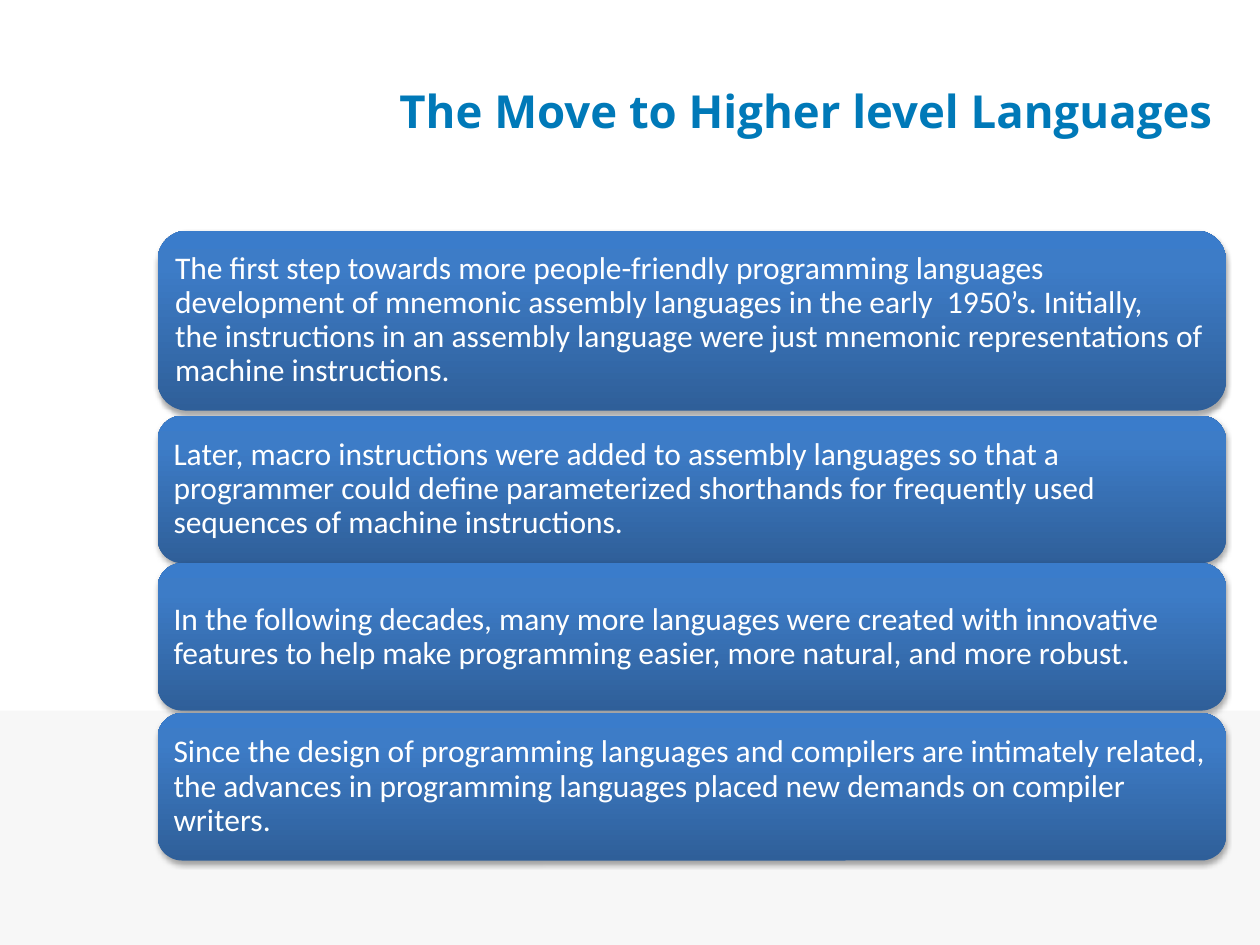
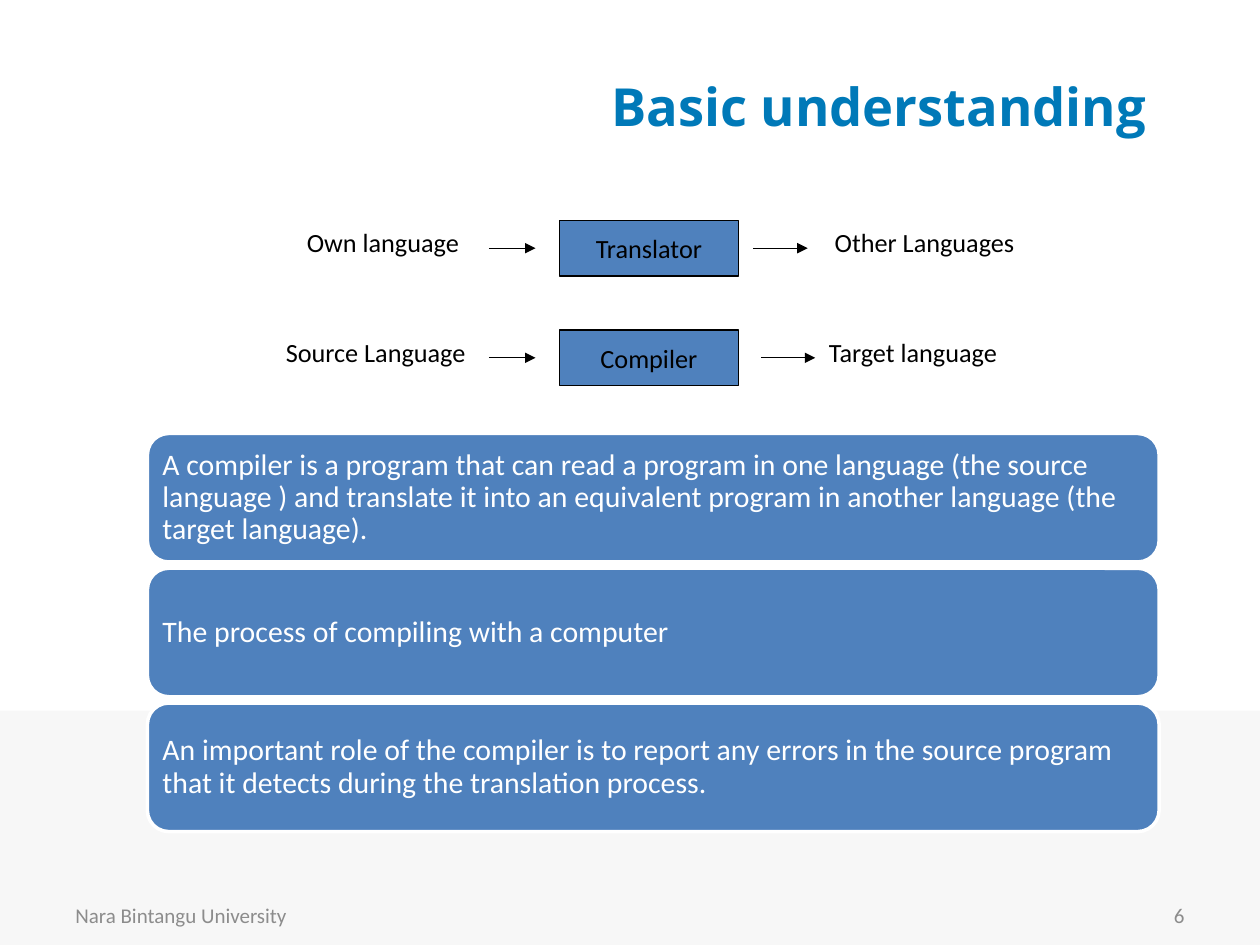
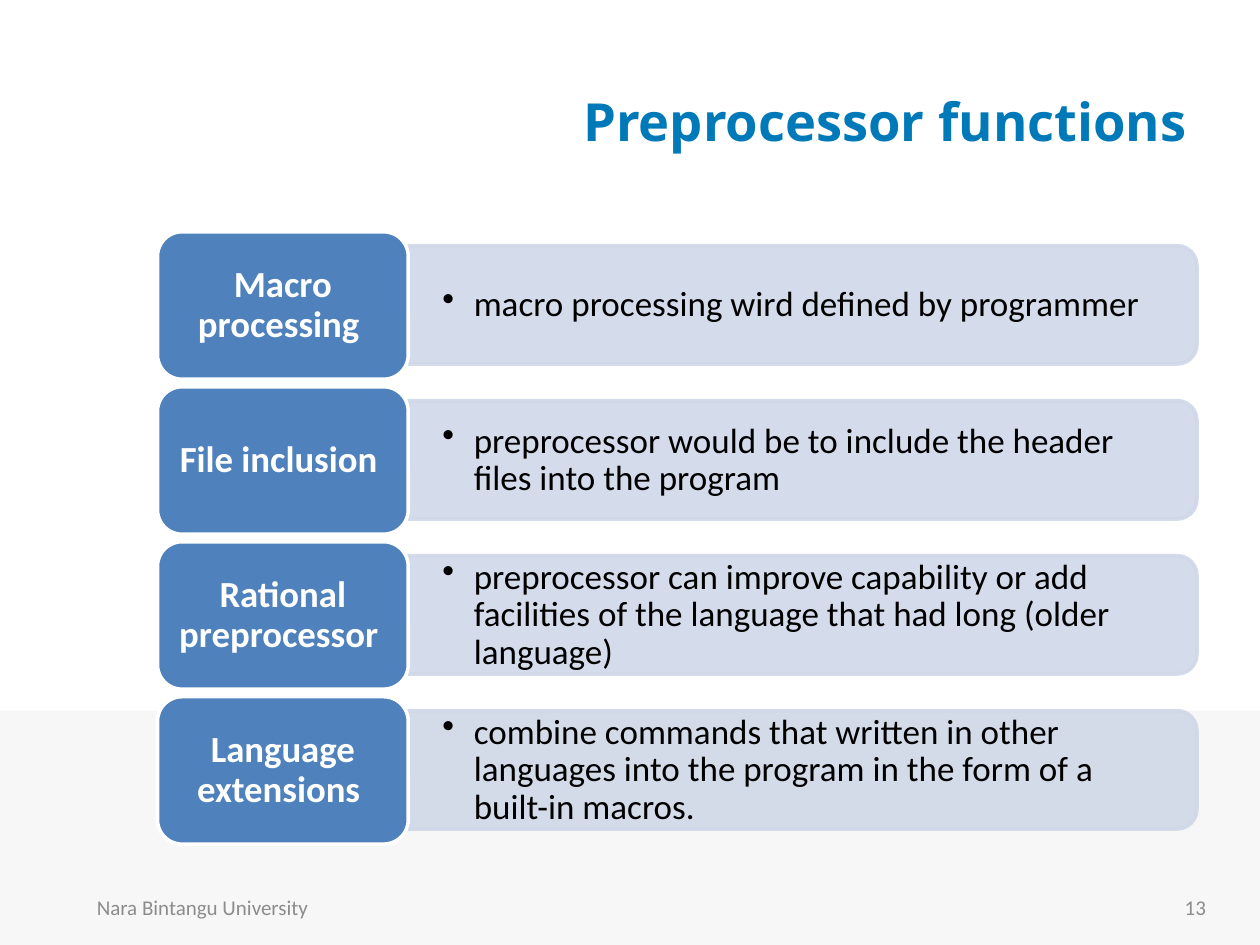
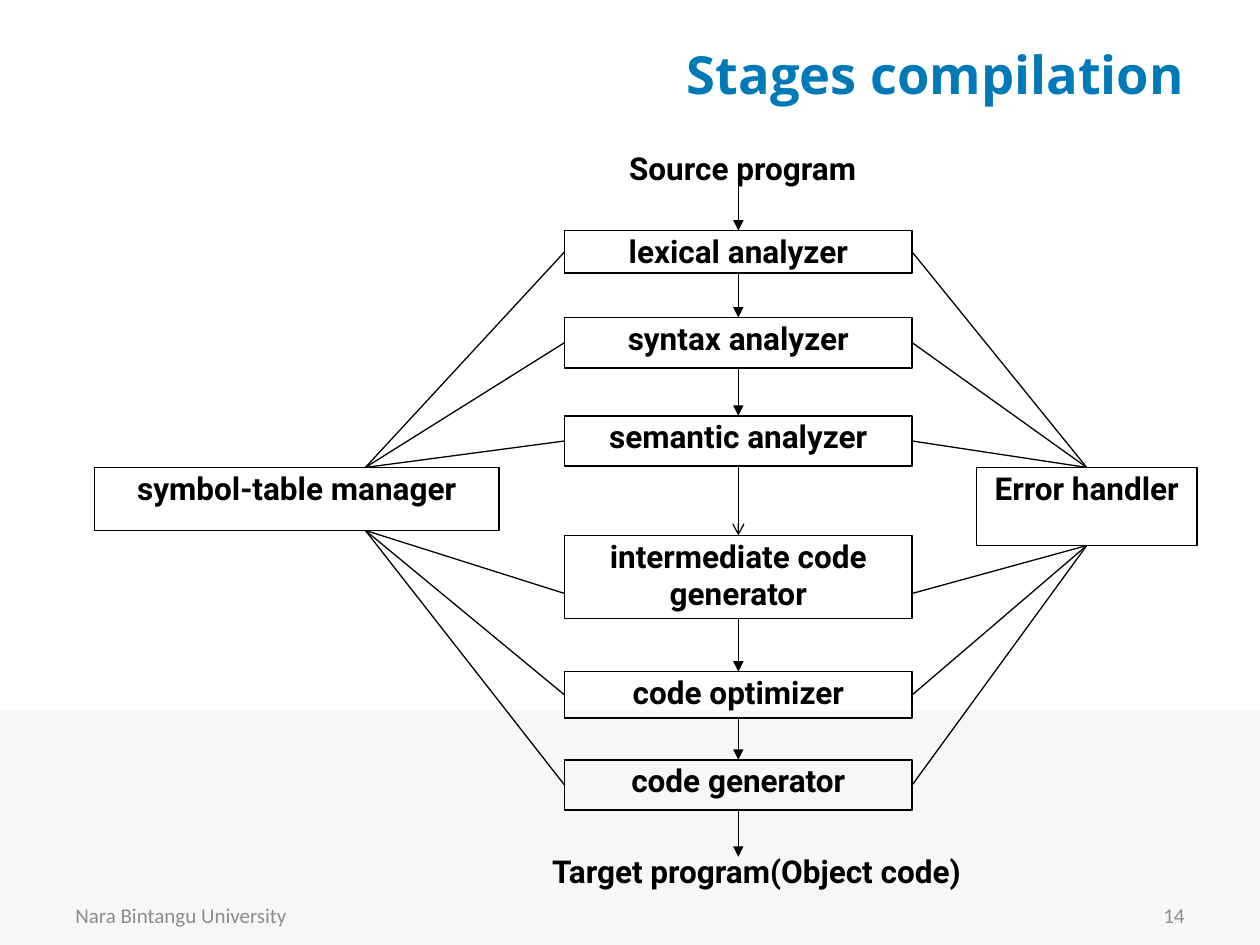
"""Build four slides on programming languages and the stages of a compiler."""

from dataclasses import dataclass
from typing import Optional

from lxml.etree import SubElement
from pptx import Presentation
from pptx.dml.color import RGBColor
from pptx.enum.shapes import MSO_CONNECTOR, MSO_SHAPE
from pptx.enum.text import MSO_ANCHOR, MSO_AUTO_SIZE, PP_ALIGN
from pptx.oxml.ns import qn
from pptx.util import Inches, Pt

TOP, LEFT, BOTTOM, RIGHT = range(4)


@dataclass(frozen=True)
class Theme:
    """Colours, fonts and type sizes of the whole deck."""

    title: str = "0079B8"
    band: str = "F7F7F7"
    block: str = "4F81BD"
    pale: str = "D0D8E8"
    white: str = "FFFFFF"
    black: str = "000000"
    footer: str = "8C8C8C"
    gradient: tuple = ((0, "2F5F99"), (80, "3D7CC7"), (100, "3A7CCB"))
    title_font: str = "Open Sans"
    body_font: str = "Calibri"
    diagram_font: str = "Roboto"
    title_size: int = 30
    long_title_size: int = 26
    topic_size: int = 21
    detail_size: int = 20
    step_size: int = 18
    fact_size: int = 17
    label_size: int = 15
    footer_size: int = 12


THEME = Theme()


@dataclass(frozen=True)
class Box:
    """A rectangle in inches."""

    left: float
    top: float
    width: float
    height: float

    def lengths(self) -> tuple:
        """Give the four measures as lengths."""
        return tuple(map(Inches, (self.left, self.top, self.width, self.height)))


@dataclass(frozen=True)
class Step:
    """One step in the history of languages."""

    top: float
    height: float
    text: str


@dataclass(frozen=True)
class Translation:
    """A row that turns an input into an output with a tool."""

    tool: str
    top: float
    source: str
    source_left: float
    source_width: float
    target: str
    target_width: float
    out_arrow: float


@dataclass(frozen=True)
class Function:
    """A preprocessor function and what it does."""

    topic: str
    detail: str


@dataclass(frozen=True)
class Stage:
    """A stage of compilation."""

    text: str
    top: float
    height: float
    link_y: Optional[float] = None
    arrowhead: str = "triangle"


STEPS = (
    Step(1.83, 1.43, "The first step towards more people-friendly programming languages "
         "development of mnemonic assembly languages in the early  1950’s. Initially,\n"
         "the instructions in an assembly language were just mnemonic representations "
         "of machine instructions."),
    Step(3.3, 1.17, "Later, macro instructions were added to assembly languages so that a "
         "programmer could define parameterized shorthands for frequently used "
         "sequences of machine instructions."),
    Step(4.47, 1.17, "In the following decades, many more languages were created with "
         "innovative features to help make programming easier, more natural, and more robust."),
    Step(5.66, 1.17, "Since the design of programming languages and compilers are intimately "
         "related, the advances in programming languages placed new demands on compiler writers."),
)

FACTS = (
    "A compiler is a program that can read a program in one language (the source language ) "
    "and translate it into an equivalent program in another language (the target language).",
    "The process of compiling with a computer",
    "An important role of the compiler is to report any errors in the source program "
    "that it detects during the translation process.",
)

TRANSLATIONS = (
    Translation("Translator", 1.75, " Own language", 2.29, 1.47, " Other Languages", 1.83, 5.98),
    Translation("Compiler", 2.62, "Source Language", 2.17, 1.64, "Target language", 2, 6.04),
)

FUNCTIONS = (
    Function("Macro processing ", "macro processing wird defined by programmer"),
    Function("File inclusion ",
             "preprocessor would be to include the header files into the program"),
    Function("Rational preprocessor ", "preprocessor can improve capability or add facilities "
             "of the language that had long (older language)"),
    Function("Language extensions ", "combine commands that written in other languages "
             "into the program in the form of a built-in macros."),
)

STAGES = (
    Stage("lexical analyzer", 1.83, 0.34),
    Stage("syntax analyzer", 2.52, 0.4),
    Stage("semantic analyzer", 3.3, 0.4),
    Stage("intermediate code generator", 4.25, 0.66, link_y=4.71, arrowhead="arrow"),
    Stage("code optimizer", 5.33, 0.37),
    Stage("code generator", 6.03, 0.4),
)


def write(holder, text: str, *, size: int, color: str, font: str = THEME.body_font,
          bold: bool = False, align=PP_ALIGN.LEFT, anchor=MSO_ANCHOR.MIDDLE,
          inset: tuple = (0.1, 0.05), wrap: bool = True, grow: bool = False,
          spacing: float = 1.0, bullet: bool = False) -> None:
    """Put formatted text into a shape."""
    frame = holder.text_frame
    frame.word_wrap = wrap
    frame.auto_size = MSO_AUTO_SIZE.SHAPE_TO_FIT_TEXT if grow else MSO_AUTO_SIZE.NONE
    frame.vertical_anchor = anchor
    frame.margin_left = frame.margin_right = Inches(inset[0])
    frame.margin_top = frame.margin_bottom = Inches(inset[1])
    paragraph = frame.paragraphs[0]
    paragraph.text = text
    paragraph.alignment = align
    paragraph.line_spacing = spacing
    if bullet:
        properties = paragraph.alignment and paragraph.runs[0].font and \
            paragraph._p.get_or_add_pPr()
        properties.set("marL", str(Inches(0.25)))
        properties.set("indent", str(-Inches(0.25)))
        SubElement(properties, qn("a:buChar"), char="•")
    for run in paragraph.runs:
        run.font.size = Pt(size)
        run.font.name = font
        run.font.bold = bold
        run.font.color.rgb = RGBColor.from_string(color)


def add_label(slide, box: Box, text: str, **style):
    """Add a text box."""
    label = slide.shapes.add_textbox(*box.lengths())
    write(label, text, **style)
    return label


def add_block(slide, box: Box, *, kind=MSO_SHAPE.ROUNDED_RECTANGLE,
              fill: Optional[str] = None, line: Optional[str] = None, weight: float = 2):
    """Add a preset shape without shadow."""
    block = slide.shapes.add_shape(kind, *box.lengths())
    block.shadow.inherit = False
    if fill:
        block.fill.solid()
        block.fill.fore_color.rgb = RGBColor.from_string(fill)
    else:
        block.fill.background()
    if line:
        block.line.color.rgb = RGBColor.from_string(line)
        block.line.width = Pt(weight)
    else:
        block.line.fill.background()
    return block


def add_line(slide, start: tuple, end: tuple, arrowhead: Optional[str] = None):
    """Add a thin straight connector, with an arrowhead if one is named."""
    link = slide.shapes.add_connector(MSO_CONNECTOR.STRAIGHT, *map(Inches, start + end))
    link.line.color.rgb = RGBColor.from_string(THEME.black)
    link.line.width = Pt(0.75)
    properties = link.element.spPr
    if arrowhead:
        SubElement(properties.find(qn("a:ln")), qn("a:tailEnd"), type=arrowhead)
    SubElement(properties, qn("a:effectLst"))
    return link


def add_color(parent, color: str, opacity: Optional[int] = None) -> None:
    """Add a colour element with an optional opacity in percent."""
    entry = SubElement(parent, qn("a:srgbClr"), val=color)
    if opacity is not None:
        SubElement(entry, qn("a:alpha"), val=str(opacity * 1000))


def shade(block) -> None:
    """Give a shape the deck's gradient and soft shadow."""
    block.fill.gradient()
    block.fill.gradient_angle = 90
    properties = block.element.spPr
    stops = properties.find(qn("a:gradFill")).find(qn("a:gsLst"))
    for stop in list(stops):
        stops.remove(stop)
    for position, color in THEME.gradient:
        add_color(SubElement(stops, qn("a:gs"), pos=str(position * 1000)), color)
    shadow = SubElement(properties.find(qn("a:effectLst")), qn("a:outerShdw"),
                        blurRad=str(Pt(3.1)), dist=str(Pt(1.8)), dir="5400000",
                        rotWithShape="0")
    add_color(shadow, THEME.black, 35)


def add_slide(deck, title: str, box: Box, size: int = THEME.title_size):
    """Add a slide with its title."""
    slide = deck.slides.add_slide(deck.slide_layouts[5])
    heading = slide.shapes.title
    heading.left, heading.top, heading.width, heading.height = box.lengths()
    write(heading, title, size=size, color=THEME.title, font=THEME.title_font,
          bold=True, align=PP_ALIGN.RIGHT)
    return slide


def add_footer(slide, number: int, left: float = 0.5, top: float = 7.06) -> None:
    """Add the school's name and the slide number."""
    style = dict(size=THEME.footer_size, color=THEME.footer)
    add_label(slide, Box(left, top, 2.33, 0.4), "Nara Bintangu University", **style)
    add_label(slide, Box(left + 6.67, top, 2.33, 0.4), str(number),
              align=PP_ALIGN.RIGHT, **style)


def move_band_to_layout(slide) -> None:
    """Draw the grey lower band and hand it to the shared layout."""
    band = add_block(slide, Box(0, 5.64, 10, 1.86), kind=MSO_SHAPE.RECTANGLE, fill=THEME.band)
    band.element.nvSpPr.cNvPr.set("id", "90")
    slide.slide_layout.shapes.element.insert(2, band.element)


def build_history(deck) -> None:
    """Build the slide on higher level languages."""
    slide = add_slide(deck, "The Move to Higher level Languages",
                      Box(2, 0.25, 7.73, 1.25), THEME.long_title_size)
    move_band_to_layout(slide)
    for step in STEPS:
        block = add_block(slide, Box(1.25, step.top, 8.48, step.height))
        shade(block)
        write(block, step.text, size=THEME.step_size, color=THEME.white,
              inset=(0.07, 0.07), spacing=0.9)


def build_basics(deck) -> None:
    """Build the slide that compares a translator and a compiler."""
    slide = add_slide(deck, "Basic understanding", Box(3.23, 0.53, 5.97, 0.62))
    for index, fact in enumerate(FACTS):
        block = add_block(slide, Box(1.17, 3.44 + 1.07 * index, 8.03, 1.02),
                          fill=THEME.block, line=THEME.white)
        write(block, fact, size=THEME.fact_size, color=THEME.white,
              inset=(0.07, 0.07), spacing=0.9)
    style = dict(size=THEME.label_size, color=THEME.black)
    for row in TRANSLATIONS:
        middle = row.top + 0.22
        add_label(slide, Box(row.source_left, row.top, row.source_width, 0.35), row.source,
                  anchor=MSO_ANCHOR.TOP, wrap=False, grow=True, **style)
        add_line(slide, (3.88, middle), (4.25, middle), "triangle")
        tool = add_block(slide, Box(4.44, row.top, 1.42, 0.44), kind=MSO_SHAPE.RECTANGLE,
                         fill=THEME.block, line=THEME.black, weight=0.75)
        write(tool, row.tool, align=PP_ALIGN.CENTER, wrap=False, **style)
        add_line(slide, (row.out_arrow, middle), (row.out_arrow + 0.43, middle), "triangle")
        add_label(slide, Box(6.48, row.top, row.target_width, 0.35), row.target,
                  anchor=MSO_ANCHOR.TOP, grow=True, **style)
    add_footer(slide, 6)


def build_functions(deck) -> None:
    """Build the slide on preprocessor functions."""
    slide = add_slide(deck, "Preprocessor functions", Box(1.79, 0.33, 7.73, 1.25))
    for index, function in enumerate(FUNCTIONS):
        top = 1.84 + 1.23 * index
        panel = add_block(slide, Box(5.9, top - 2.55, 0.94, 6.26), fill=THEME.pale,
                          kind=MSO_SHAPE.ROUND_2_SAME_RECTANGLE, line=THEME.pale)
        panel.rotation = 90
        for color in panel.element.spPr.iter(qn("a:srgbClr")):
            SubElement(color, qn("a:alpha"), val="90000")
        add_label(slide, Box(3.24, top + 0.16, 6.22, 0.85), function.detail,
                  size=THEME.detail_size, color=THEME.black, inset=(0.27, 0.14),
                  spacing=0.9, bullet=True)
        topic = add_block(slide, Box(1.25, top, 1.99, 1.17), fill=THEME.block, line=THEME.white)
        write(topic, function.topic, size=THEME.topic_size, color=THEME.white, bold=True,
              align=PP_ALIGN.CENTER, inset=(0.09, 0.04), spacing=0.9)
    add_footer(slide, 13, left=0.67, top=7)


def build_stages(deck) -> None:
    """Build the diagram of the stages of compilation."""
    slide = add_slide(deck, "Stages compilation", Box(3.08, 0.08, 6.42, 1))
    style = dict(size=THEME.step_size, color=THEME.black, font=THEME.diagram_font, bold=True,
                 align=PP_ALIGN.CENTER, anchor=MSO_ANCHOR.TOP, inset=(0.01, 0.01))

    def add_part(text: str, box: Box, weight: float):
        """Add an outlined part of the compiler."""
        part = add_block(slide, box, kind=MSO_SHAPE.RECTANGLE, line=THEME.black, weight=weight)
        write(part, text, **style)
        return part

    left, width = 4.48, 2.76
    right, center = left + width, left + width / 2
    add_label(slide, Box(4.58, 1.17, 2.69, 0.25), "Source program ", **style)
    add_label(slide, Box(3.92, 6.75, 4.17, 0.4), "Target program(Object code)", **style)
    symbols = Box(0.75, 3.71, 3.21, 0.5)
    add_part("symbol-table manager", symbols, 0.75)
    errors = Box(7.75, 3.71, 1.75, 0.62)
    error_handler = add_part("Error handler", errors, 0.75)

    previous, flow_y = None, 1.46
    for index, stage in enumerate(STAGES):
        part = add_part(stage.text, Box(left, stage.top, width, stage.height), 1)
        flow = add_line(slide, (center, flow_y), (center, stage.top), stage.arrowhead)
        if previous:
            flow.begin_connect(previous, BOTTOM)
        flow.end_connect(part, TOP)
        previous, flow_y = part, stage.top + stage.height

        above = index < len(STAGES) / 2
        link_y = stage.link_y or stage.top + stage.height / 2
        symbol_y = symbols.top if above else symbols.top + symbols.height
        error_y = errors.top if above else errors.top + errors.height
        symbol_link = add_line(slide, (left, link_y), (2.9, symbol_y))
        error_link = add_line(slide, (right, link_y), (8.63, error_y))
        error_link.end_connect(error_handler, TOP if above else BOTTOM)
        if stage.link_y is None:
            symbol_link.begin_connect(part, LEFT)
            error_link.begin_connect(part, RIGHT)
    add_line(slide, (center, flow_y), (center, 6.8), "triangle")
    add_footer(slide, 14)


def main() -> None:
    """Build and save the deck."""
    deck = Presentation()
    deck.slide_width, deck.slide_height = Inches(10), Inches(7.5)
    for build in (build_history, build_basics, build_functions, build_stages):
        build(deck)
    deck.save("out.pptx")


if __name__ == "__main__":
    main()
